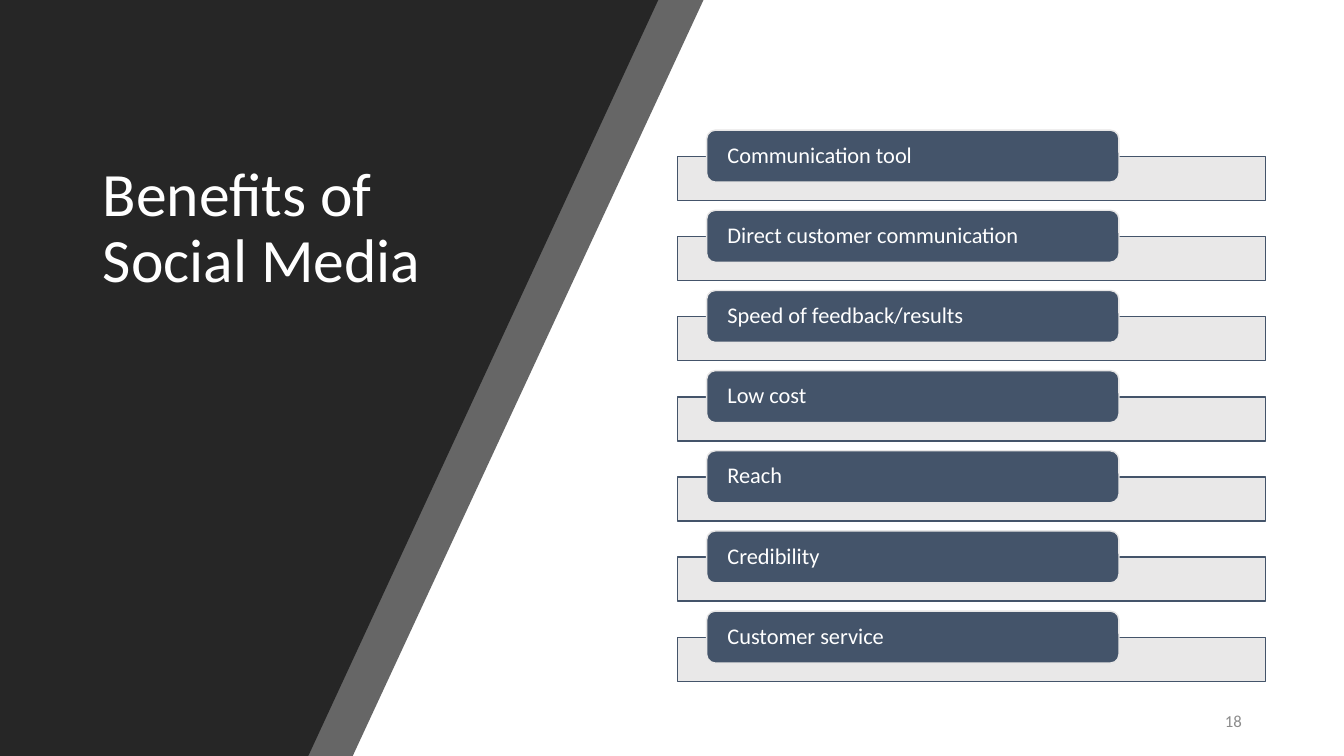
from dataclasses import dataclass

from lxml.etree import SubElement
from pptx import Presentation
from pptx.dml.color import RGBColor
from pptx.enum.shapes import MSO_SHAPE as Kind
from pptx.enum.text import MSO_ANCHOR as Anchor, PP_ALIGN as Align
from pptx.oxml.ns import qn
from pptx.util import Cm, Pt

WIDTH, HEIGHT = 33.87, 19.05
DARK, SLATE, PALE, WHITE, GRAY = "262626", "44546A", "E7E6E6", "FFFFFF", "8C8C8C"
FONT = "Calibri"


@dataclass
class Panel:
    top: float  # right edge at the top of the slide
    base: float  # right edge at the bottom
    alpha: int


@dataclass
class Box:
    left: float
    top: float
    width: float
    height: float


@dataclass
class Style:
    size: int
    color: str
    align: Align = Align.LEFT
    space: float = 0.9


PANELS = [Panel(17.73, 8.89, 70), Panel(16.59, 7.77, 100)]
BENEFITS = [
    "Communication tool",
    "Direct customer communication",
    "Speed of feedback/results",
    "Low cost",
    "Reach",
    "Credibility",
    "Customer service",
]
FIRST, PITCH = 3.28, 2.02  # top of the first label, step between rows


def paint(target, color: str) -> None:
    target.solid()
    target.fore_color.rgb = RGBColor.from_string(color)


def fade(shape, alpha: int) -> None:
    tint = shape.fill._xPr.find(qn("a:solidFill"))[0]
    SubElement(tint, qn("a:alpha"), val=str(alpha * 1000))


def write(shape, text: str, style: Style) -> None:
    frame = shape.text_frame
    frame.word_wrap = True
    frame.vertical_anchor = Anchor.MIDDLE
    line = frame.paragraphs[0]
    line.alignment = style.align
    line.line_spacing = style.space
    run = line.add_run()
    run.text = text
    run.font.name = FONT
    run.font.size = Pt(style.size)
    run.font.color.rgb = RGBColor.from_string(style.color)


def draw_panel(slide, panel: Panel) -> None:
    path = slide.shapes.build_freeform(0, 0, scale=1.0)
    corners = [(panel.top, 0), (panel.base, HEIGHT), (0, HEIGHT)]
    path.add_line_segments([(Cm(x), Cm(y)) for x, y in corners], close=True)
    shape = path.convert_to_shape()
    shape.shadow.inherit = False
    shape.line.fill.background()
    paint(shape.fill, DARK)
    if panel.alpha < 100:
        fade(shape, panel.alpha)


def draw_box(slide, kind: Kind, box: Box, fill: str, edge: str):
    shape = slide.shapes.add_shape(
        kind, Cm(box.left), Cm(box.top), Cm(box.width), Cm(box.height))
    shape.shadow.inherit = False
    paint(shape.fill, fill)
    paint(shape.line.fill, edge)
    shape.line.width = Pt(1)
    return shape


def draw_row(slide, text: str, top: float) -> None:
    bar = draw_box(slide, Kind.RECTANGLE, Box(17.07, top + 0.66, 14.83, 1.11), PALE, SLATE)
    fade(bar, 90)
    label = draw_box(slide, Kind.ROUNDED_RECTANGLE, Box(17.81, top, 10.39, 1.31), SLATE, PALE)
    frame = label.text_frame
    frame.margin_left = frame.margin_right = Cm(0.46)
    frame.margin_top = frame.margin_bottom = 0
    write(label, text, Style(16, WHITE))


def draw_text(slide, text: str, box: Box, style: Style) -> None:
    shape = slide.shapes.add_textbox(
        Cm(box.left), Cm(box.top), Cm(box.width), Cm(box.height))
    write(shape, text, style)


def main() -> None:
    deck = Presentation()
    deck.slide_width, deck.slide_height = Cm(WIDTH), Cm(HEIGHT)
    slide = deck.slides.add_slide(deck.slide_layouts[6])

    # Slanted panels and title
    for panel in PANELS:
        draw_panel(slide, panel)
    draw_text(slide, "Benefits of Social Media", Box(2.34, 1.22, 9.09, 9.14),
              Style(44, WHITE))

    # List of benefits
    for i, text in enumerate(BENEFITS):
        draw_row(slide, text, FIRST + i * PITCH)

    # Slide number
    draw_text(slide, "18", Box(23.93, 17.65, 7.62, 1.02),
              Style(12, GRAY, Align.RIGHT, 1.0))

    deck.save("out.pptx")


if __name__ == "__main__":
    main()
